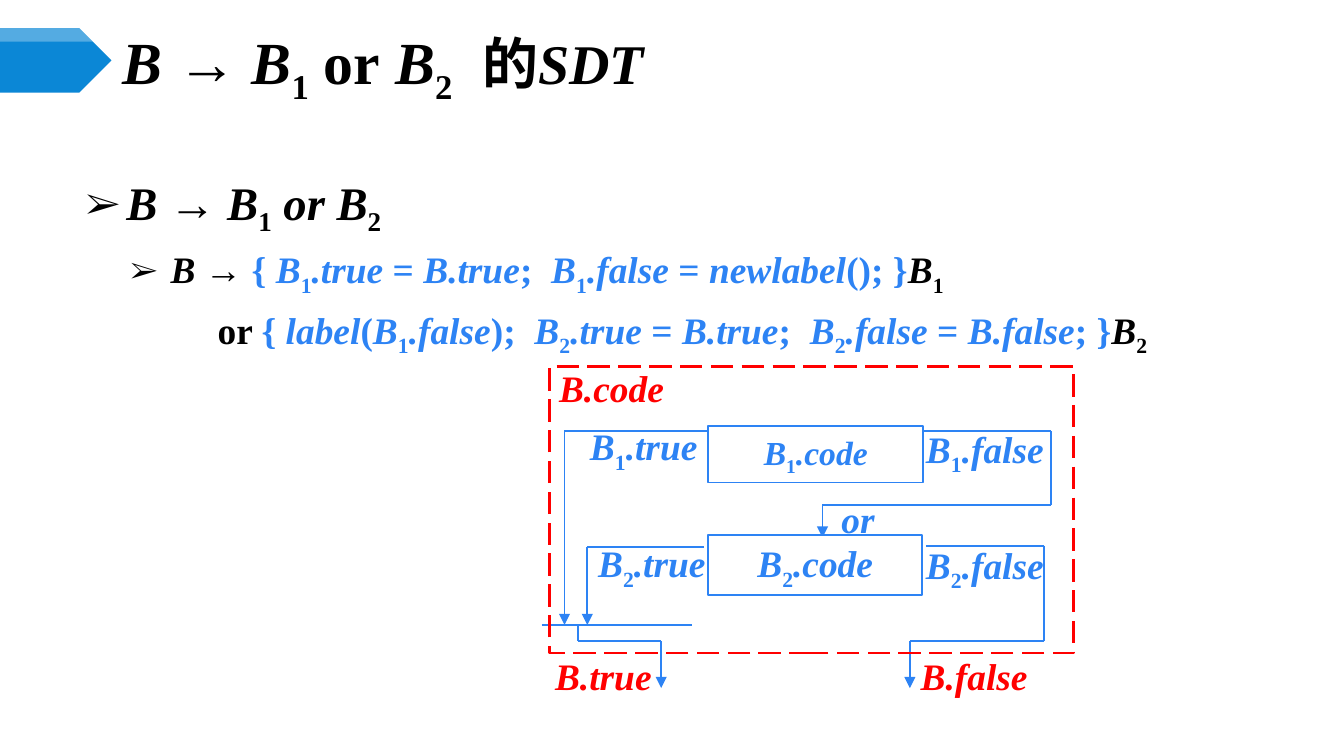
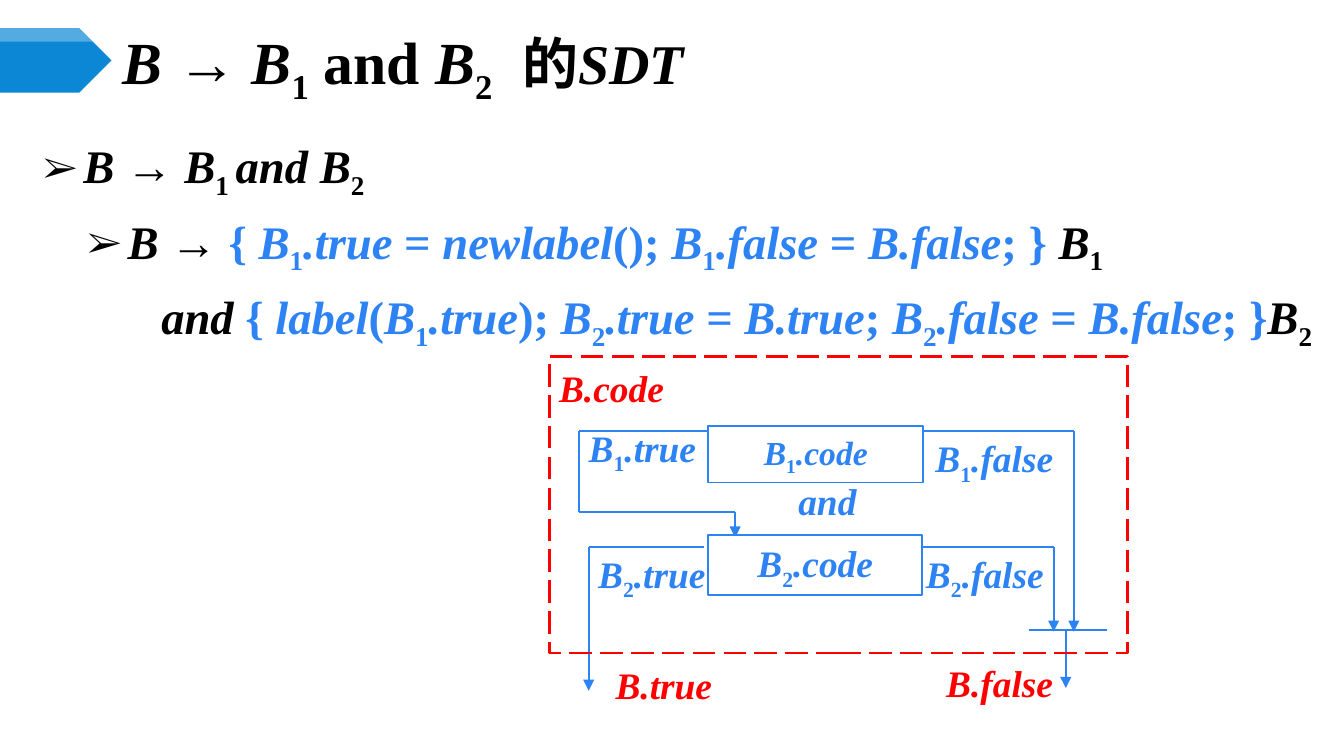
from itertools import pairwise

from lxml.etree import SubElement
from pptx import Presentation
from pptx.dml.color import RGBColor
from pptx.enum.dml import MSO_LINE
from pptx.enum.shapes import MSO_CONNECTOR, MSO_SHAPE
from pptx.enum.text import MSO_ANCHOR as ANCHOR, MSO_AUTO_SIZE, PP_ALIGN as ALIGN
from pptx.oxml.ns import qn
from pptx.util import Pt

EMU_PER_PX = 9144
SLIDE_WIDTH = 1000
SLIDE_HEIGHT = SLIDE_WIDTH * 9 / 16
BLACK, BLUE, RED, WHITE = "000000", "2D83F4", "FF0000", "FFFFFF"
BAND_BLUE = "0B87D6"
SERIF, HAN = "Times New Roman", "Noto Sans CJK SC"
TITLE_BOX = (83, 29, 867, 39)
BAND_BOX = (0, 21, 83, 48)
DIAGRAM_BOX = (400, 260, 440, 270)
CODE_BOXES = [("*B*_1_*.code*", (127, 57, 160, 42), 18),
              ("*B*_2_*.code*", (127, 138, 159, 45), 20)]

OR_SLIDE = {
    "title": "*B *→* B*_1_ or* B*_2_  ",
    "body_box": (56, 125, 861, 353),
    "rule": "*B *→* B*_1_* or B*_2_",
    "actions": [
        "*B* → |{ *B*_1_*.true *= *B.true*;  *B*_1_*.false *= *newlabel*(); }|*B*_1_",
        "or |{ *label*(*B*_1_*.false*);  *B*_2_*.true *= *B.true*;  "
        "*B*_2_*.false *= *B.false*; }|*B*_2_",
    ],
    "action_size": 20,
    "action_gap": 5,
    "second_indent": 98,
    "frame": (9, 13, 390, 213),
    "labels": [
        ("*B.code*", (8, 8, 110, 44), RED),
        ("*B.true*", (5, 222, 112, 41), RED),
        ("*B.false*", (277, 222, 130, 41), RED),
        ("*B*_1_*.true*", (31, 51, 105, 45), BLUE),
        ("*B*_1_*.false*", (281, 53, 128, 45), BLUE),
        ("*B*_2_*.true*", (37, 138, 129, 45), BLUE),
        ("*B*_2_*.false*", (281, 139, 142, 45), BLUE),
        ("*or*", (218, 105, 41, 41), BLUE),
    ],
    "jumps": [
        [(139, 61), (20, 61), (20, 205)],
        [(124, 147), (37, 147), (37, 205)],
        [(30, 205), (30, 217), (92, 217), (92, 252)],
        [(283, 61), (382, 61), (382, 116), (212, 116), (212, 140)],
        [(289, 146), (377, 146), (377, 217), (277, 217), (277, 252)],
    ],
    "merge_bar": [(3, 205), (115, 205)],
}

AND_SLIDE = {
    "title": "*B *→* B*_1_ and* B*_2_  ",
    "body_box": (24, 98, 976, 353),
    "rule": "*B* →* B*_1 _*and B*_2_",
    "actions": [
        "*B* → |{ *B*_1_*.true *= *newlabel*(); *B*_1_*.false *= *B.false*; } |*B*_1_",
        "*and *|{ *label*(*B*_1_*.true*); *B*_2_*.true* = *B.true*; "
        "*B*_2_*.false* = *B.false*; }|*B*_2_",
    ],
    "action_size": 25,
    "action_gap": 6.2,
    "second_indent": 88,
    "frame": (9, 5, 430, 221),
    "labels": [
        ("*B.code*", (8, 8, 110, 44), RED),
        ("*B.true*", (50, 229, 112, 41), RED),
        ("*B.false*", (296, 227, 130, 41), RED),
        ("*B*_1_*.true*", (30, 52, 105, 45), BLUE),
        ("*B*_1_*.false*", (288, 60, 128, 45), BLUE),
        ("*B*_2_*.true*", (37, 146, 110, 45), BLUE),
        ("*B*_2_*.false*", (281, 146, 142, 45), BLUE),
        ("*and*", (186, 92, 62, 41), BLUE),
    ],
    "jumps": [
        [(127, 61), (31, 61), (31, 121), (147, 121), (147, 140)],
        [(124, 147), (38, 147), (38, 254)],
        [(283, 61), (399, 61), (399, 210)],
        [(287, 147), (384, 147), (384, 210)],
        [(393, 209), (393, 252)],
    ],
    "merge_bar": [(366, 209), (424, 209)],
}


def px(*lengths):
    """Turn px lengths into a list of EMU lengths."""
    return [int(length * EMU_PER_PX) for length in lengths]


def rgb(value):
    """Turn a hex string into a colour."""
    return RGBColor.from_string(value)


def within(box, part):
    """Place a part's box relative to the box around it."""
    return (box[0] + part[0], box[1] + part[1], *part[2:])


def add_run(paragraph, text, size, color, font=SERIF, italic=False, sub=False):
    """Add one bold run, optionally italic or subscript."""
    run = paragraph.add_run()
    run.text = text
    run.font.size = Pt(size)
    run.font.name = font
    run.font.bold = True
    run.font.italic = italic
    run.font.color.rgb = rgb(color)
    props = run.font._element
    SubElement(props, qn("a:ea")).set("typeface", font)
    if sub:
        props.set("baseline", "-25000")


def write(paragraph, markup, size=20, color=BLACK, accent=BLUE, align=ALIGN.LEFT):
    """Write text in which * toggles italic, _ subscript and | the accent colour."""
    paragraph.alignment = align
    paragraph.line_spacing = 1.0
    active, piece = set(), ""
    for char in markup + "*":
        if char not in "*_|":
            piece += char
            continue
        if piece:
            add_run(paragraph, piece, size, accent if "|" in active else color,
                    italic="*" in active, sub="_" in active)
        active ^= {char}
        piece = ""


def set_frame(frame, anchor=ANCHOR.TOP):
    """Give a text frame the shared insets and wrapping."""
    frame.word_wrap = True
    frame.auto_size = MSO_AUTO_SIZE.NONE
    frame.vertical_anchor = anchor
    frame.margin_left, frame.margin_right = px(8, 8)
    frame.margin_top, frame.margin_bottom = px(4, 4)
    return frame


def move(holder, box):
    """Move a placeholder to a box."""
    holder.left, holder.top, holder.width, holder.height = px(*box)


def set_indent(paragraph, margin, hanging=0, bullet=False):
    """Set the paragraph indent and its arrow bullet, or no bullet."""
    props = paragraph._p.get_or_add_pPr()
    left, first = px(margin, -hanging)
    props.set("marL", str(left))
    props.set("indent", str(first))
    if not bullet:
        SubElement(props, qn("a:buNone"))
        return
    SubElement(SubElement(props, qn("a:buClr")), qn("a:srgbClr")).set("val", BLACK)
    SubElement(props, qn("a:buSzPct")).set("val", "80000")
    SubElement(props, qn("a:buFont")).set("typeface", SERIF)
    SubElement(props, qn("a:buChar")).set("char", "➢")


def draw_band(slide, box):
    """Draw the blue title arrow with its lighter top strip."""
    left, top, width, height = box
    arrow = [(0, 0), (59, 0), (width, height / 2), (59, height), (0, height)]
    strip = [(0, 0), (59, 0), (69, 10), (0, 10)]
    for outline, color, opacity in ((arrow, BAND_BLUE, 100), (strip, WHITE, 30)):
        corners = [px(left + x, top + y) for x, y in outline]
        builder = slide.shapes.build_freeform(*corners[0], scale=1.0)
        builder.add_line_segments(corners[1:], close=True)
        band = builder.convert_to_shape()
        band.shadow.inherit = False
        band.line.fill.background()
        band.fill.solid()
        band.fill.fore_color.rgb = rgb(color)
        tint = band._element.spPr.find(f"{qn('a:solidFill')}/{qn('a:srgbClr')}")
        SubElement(tint, qn("a:alpha")).set("val", str(opacity * 1000))


def fill_title(slide, box, markup):
    """Fill the title with a production and the words after it."""
    move(slide.shapes.title, box)
    heading = set_frame(slide.shapes.title.text_frame, ANCHOR.MIDDLE).paragraphs[0]
    write(heading, markup, size=32)
    add_run(heading, "的", 30, BLACK, font=HAN)
    add_run(heading, "SDT", 30, BLACK, italic=True)


def fill_body(slide, box, content):
    """List the production and its semantic actions."""
    body = slide.placeholders[1]
    move(body, box)
    frame = set_frame(body.text_frame)
    rule = frame.paragraphs[0]
    set_indent(rule, 30, 30, bullet=True)
    rule.space_before = Pt(0)
    write(rule, content["rule"], size=25)
    indents = [(63, 30, True), (content["second_indent"], 0, False)]
    for markup, indent in zip(content["actions"], indents):
        action = frame.add_paragraph()
        action.level = 1
        set_indent(action, *indent)
        action.space_before = Pt(content["action_gap"])
        write(action, markup, size=content["action_size"])


def draw_route(slide, box, points, arrow=True):
    """Draw a route of straight connectors, with an arrowhead at its end."""
    stops = [px(box[0] + x, box[1] + y) for x, y in points]
    for start, end in pairwise(stops):
        leg = slide.shapes.add_connector(MSO_CONNECTOR.STRAIGHT, *start, *end)
        leg.line.color.rgb = rgb(BLUE)
        leg.line.width = Pt(1)
        if arrow and end == stops[-1]:
            SubElement(leg.line._get_or_add_ln(), qn("a:tailEnd")).set("type", "triangle")
        SubElement(leg._element.spPr, qn("a:effectLst"))


def draw_rectangle(slide, box, color, width, fill=None):
    """Draw an outlined rectangle, filled or see-through."""
    rectangle = slide.shapes.add_shape(MSO_SHAPE.RECTANGLE, *px(*box))
    rectangle.shadow.inherit = False
    rectangle.line.color.rgb = rgb(color)
    rectangle.line.width = Pt(width)
    if fill:
        rectangle.fill.solid()
        rectangle.fill.fore_color.rgb = rgb(fill)
    else:
        rectangle.fill.background()
    return rectangle


def draw_diagram(slide, box, content):
    """Draw the code layout with its jumps and labels."""
    for jump in content["jumps"]:
        draw_route(slide, box, jump)
    draw_route(slide, box, content["merge_bar"], arrow=False)
    outer = draw_rectangle(slide, within(box, content["frame"]), RED, 1.5)
    outer.line.dash_style = MSO_LINE.LONG_DASH
    for markup, part, size in CODE_BOXES:
        code = draw_rectangle(slide, within(box, part), BLUE, 1, fill=WHITE)
        write(set_frame(code.text_frame).paragraphs[0], markup, size=size,
              color=BLUE, align=ALIGN.CENTER)
    for markup, part, color in content["labels"]:
        label = slide.shapes.add_textbox(*px(*within(box, part)))
        write(set_frame(label.text_frame).paragraphs[0], markup, color=color)


def add_translation_slide(deck, content):
    """Add one slide on a boolean operator's translation scheme."""
    slide = deck.slides.add_slide(deck.slide_layouts[1])
    draw_band(slide, BAND_BOX)
    fill_title(slide, TITLE_BOX, content["title"])
    fill_body(slide, content["body_box"], content)
    draw_diagram(slide, DIAGRAM_BOX, content)


def main():
    """Build and save the deck."""
    deck = Presentation()
    deck.slide_width, deck.slide_height = px(SLIDE_WIDTH, SLIDE_HEIGHT)
    for content in (OR_SLIDE, AND_SLIDE):
        add_translation_slide(deck, content)
    deck.save("out.pptx")


if __name__ == "__main__":
    main()
